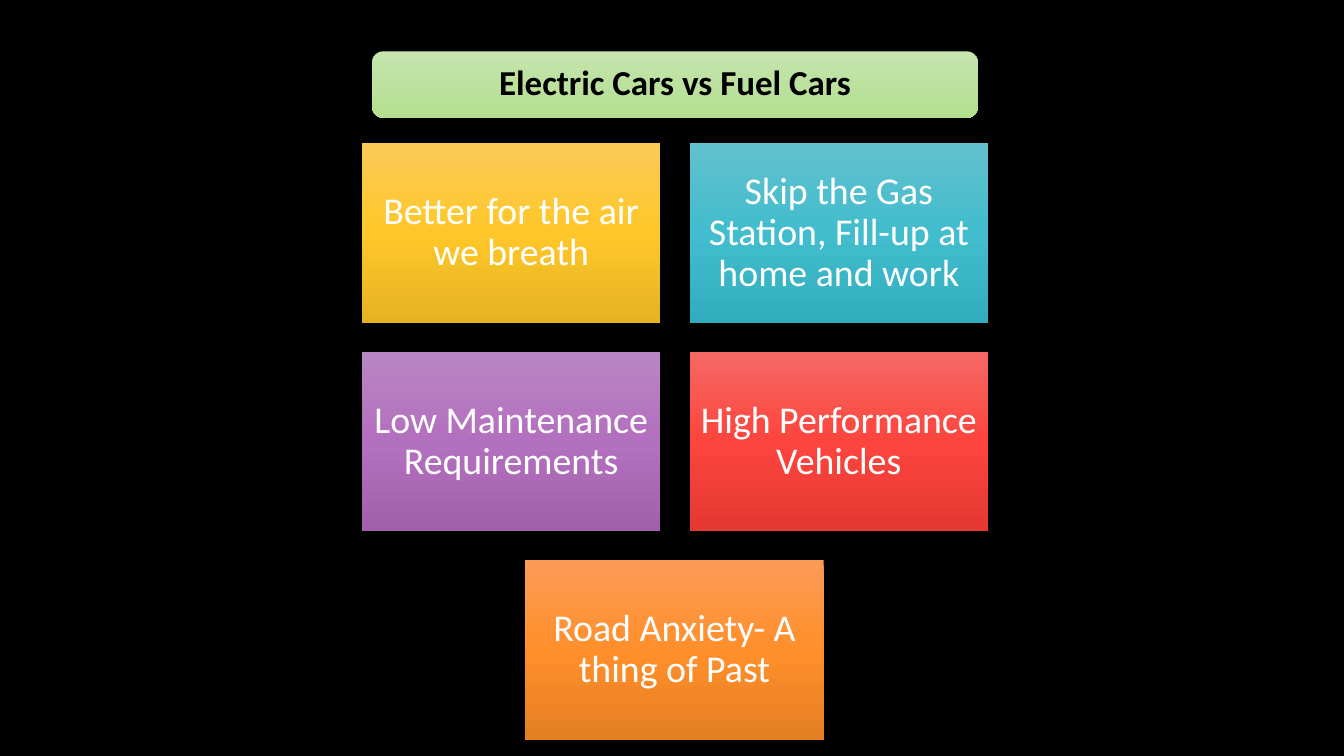
import copy
from dataclasses import dataclass

import pptx
import pptx.dml.color
import pptx.enum.shapes
import pptx.enum.text
import pptx.oxml.ns
import pptx.slide
import pptx.util

RGBColor = pptx.dml.color.RGBColor
Shape = pptx.enum.shapes.MSO_SHAPE

PX = 9144
SLIDE_W, SLIDE_H = 1333, 750
CONTENT_SPAN = 1339
TITLE_TOP, TITLE_W, TITLE_H = 51, 601, 66
GRID_TOP, CARD_W, CARD_H, GAP = 142, 296, 178, 29
COLUMNS = 2
FONT = "Calibri"

BLACK = RGBColor(0x00, 0x00, 0x00)
WHITE = RGBColor(0xFF, 0xFF, 0xFF)
GREEN = (RGBColor(0xC6, 0xE6, 0xAD), RGBColor(0xBC, 0xE1, 0x9F), RGBColor(0xB3, 0xE0, 0x8D))
GOLD = (RGBColor(0xFA, 0xCA, 0x57), RGBColor(0xFF, 0xC7, 0x29), RGBColor(0xE5, 0xB2, 0x22))
TEAL = (RGBColor(0x63, 0xC0, 0xCE), RGBColor(0x41, 0xBD, 0xCD), RGBColor(0x32, 0xAD, 0xBE))
PURPLE = (RGBColor(0xB9, 0x85, 0xC2), RGBColor(0xB3, 0x70, 0xBE), RGBColor(0xA2, 0x60, 0xAC))
RED = (RGBColor(0xF6, 0x68, 0x64), RGBColor(0xFC, 0x45, 0x3E), RGBColor(0xE5, 0x38, 0x32))
ORANGE = (RGBColor(0xFD, 0x9B, 0x56), RGBColor(0xFF, 0x8F, 0x2B), RGBColor(0xE5, 0x7F, 0x24))

Gradient = tuple[RGBColor, RGBColor, RGBColor]


@dataclass(frozen=True)
class Panel:
    text: str
    gradient: Gradient
    kind: Shape = Shape.RECTANGLE
    width: int = CARD_W
    height: int = CARD_H
    inset: int = 11
    size: int = 27
    color: RGBColor = WHITE
    bold: bool = False


TITLE = Panel("Electric Cars vs Fuel Cars", GREEN, Shape.ROUNDED_RECTANGLE,
              TITLE_W, TITLE_H, 10, 25, BLACK, True)
CARDS = [
    Panel("Better for the air we breath", GOLD),
    Panel("Skip the Gas Station, Fill-up at home and work", TEAL),
    Panel("Low Maintenance Requirements", PURPLE),
    Panel("High Performance Vehicles", RED),
    Panel("Road Anxiety- A thing of Past", ORANGE),
]


def px(value: int) -> pptx.util.Emu:
    return pptx.util.Emu(value * PX)


def centred_left(width: int) -> int:
    return (CONTENT_SPAN - width) // 2


def fill_gradient(s, gradient: Gradient) -> None:
    s.fill.gradient()
    s.fill.gradient_angle = 270
    first = next(s._element.spPr.iter(pptx.oxml.ns.qn("a:gs")))
    first.addnext(copy.deepcopy(first))
    for i, (stop, color) in enumerate(zip(s.fill.gradient_stops, gradient)):
        stop.position = i / 2
        stop.color.rgb = color


def draw_panel(slide: pptx.slide.Slide, panel: Panel, left: int, top: int) -> None:
    s = slide.shapes.add_shape(panel.kind, px(left), px(top), px(panel.width), px(panel.height))
    s.shadow.inherit = False
    s.line.fill.background()
    fill_gradient(s, panel.gradient)
    tf = s.text_frame
    tf.text = panel.text
    tf.word_wrap = True
    tf.vertical_anchor = pptx.enum.text.MSO_ANCHOR.MIDDLE
    tf.margin_left = tf.margin_right = tf.margin_top = tf.margin_bottom = px(panel.inset)
    p = tf.paragraphs[0]
    p.alignment = pptx.enum.text.PP_ALIGN.CENTER
    p.line_spacing = 0.9
    r = p.runs[0]
    r.font.name = FONT
    r.font.size = pptx.util.Pt(panel.size)
    r.font.bold = panel.bold
    r.font.color.rgb = panel.color


def draw_cards(slide: pptx.slide.Slide) -> None:
    for row, start in enumerate(range(0, len(CARDS), COLUMNS)):
        cards = CARDS[start:start + COLUMNS]
        left = centred_left(len(cards) * (CARD_W + GAP) - GAP)
        for column, card in enumerate(cards):
            draw_panel(slide, card, left + column * (CARD_W + GAP),
                       GRID_TOP + row * (CARD_H + GAP))


def main() -> None:
    prs = pptx.Presentation()
    prs.slide_width, prs.slide_height = px(SLIDE_W), px(SLIDE_H)
    slide = prs.slides.add_slide(prs.slide_layouts[6])
    slide.background.fill.solid()
    slide.background.fill.fore_color.rgb = BLACK
    draw_panel(slide, TITLE, centred_left(TITLE_W), TITLE_TOP)
    draw_cards(slide)
    prs.save("out.pptx")


if __name__ == "__main__":
    main()
